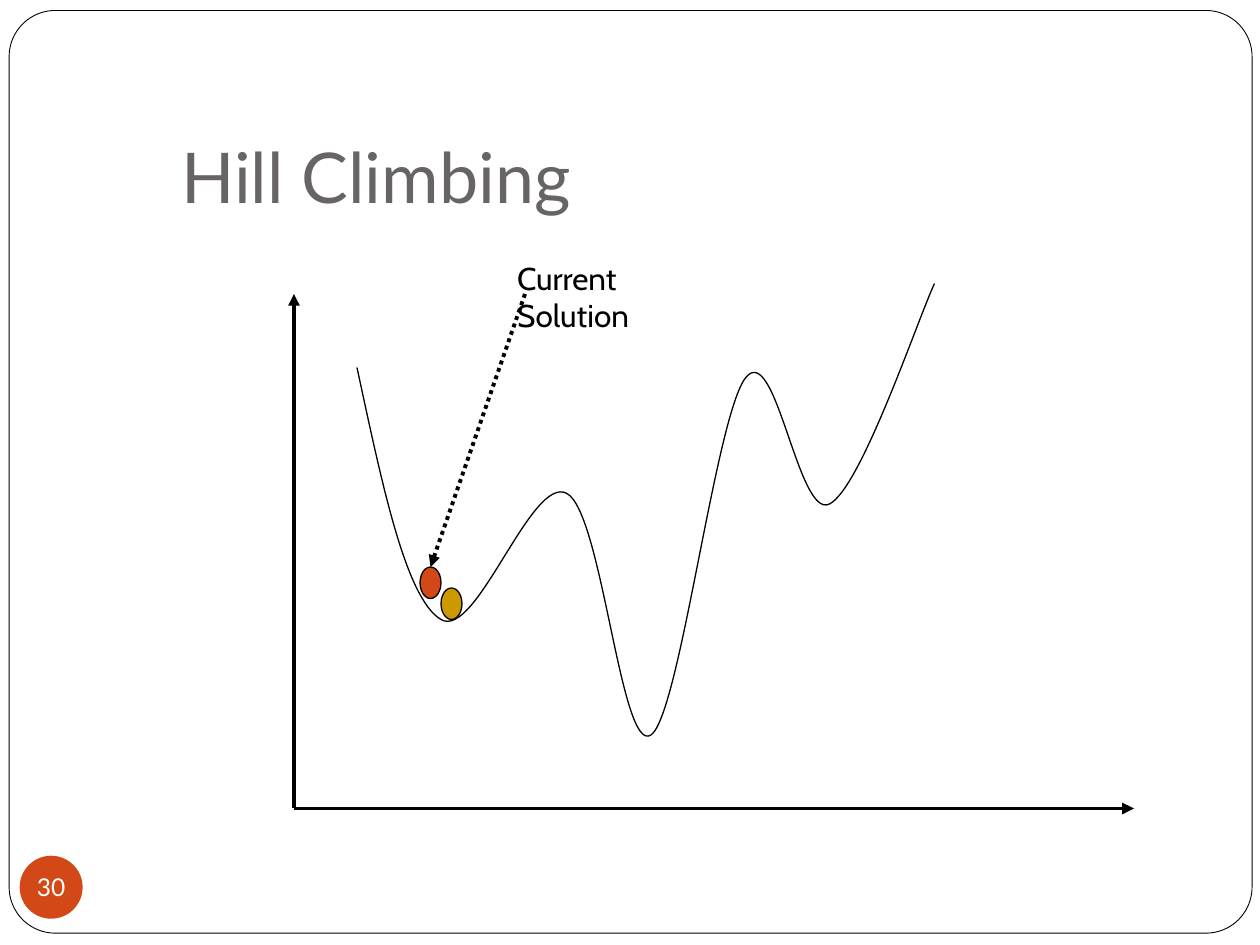
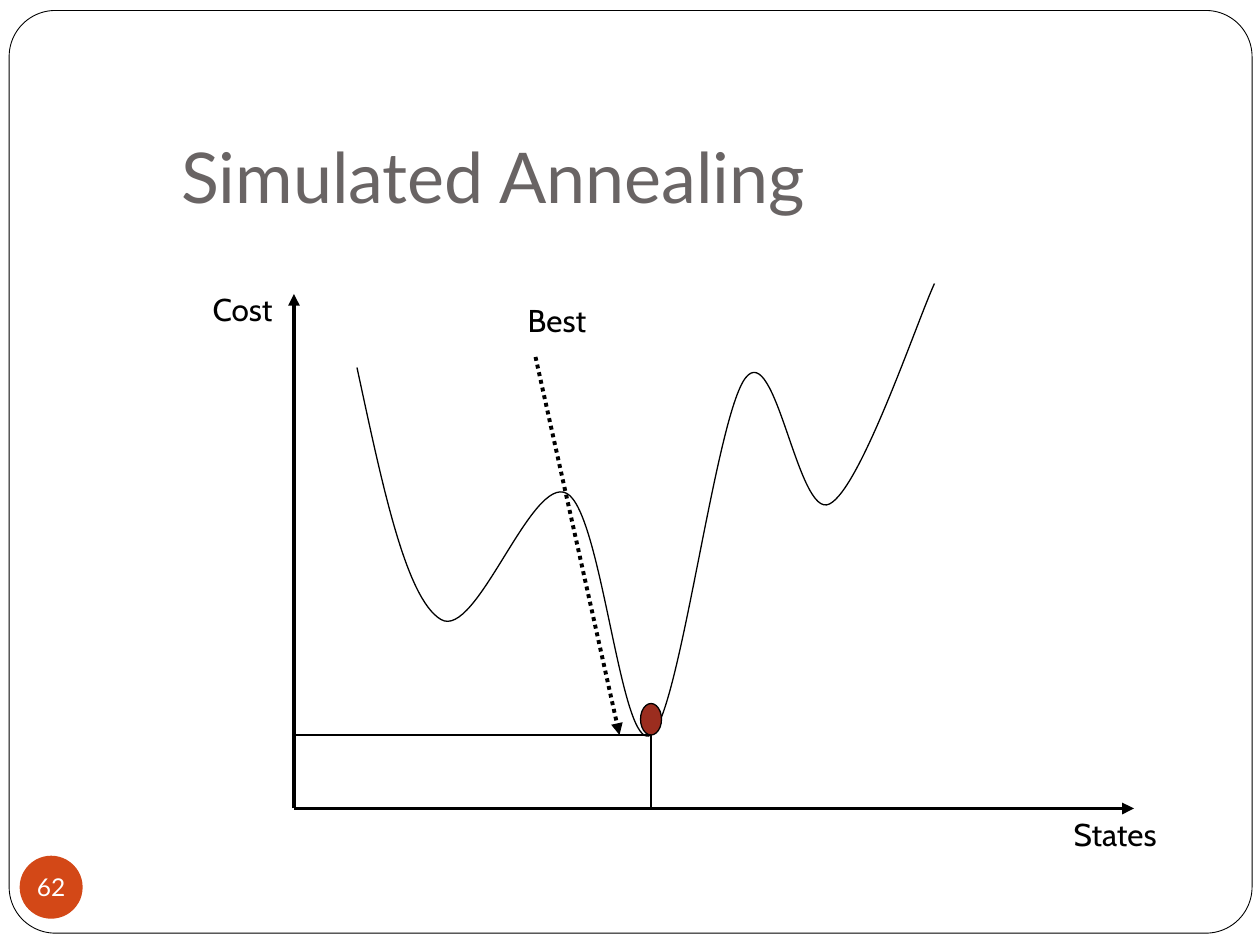
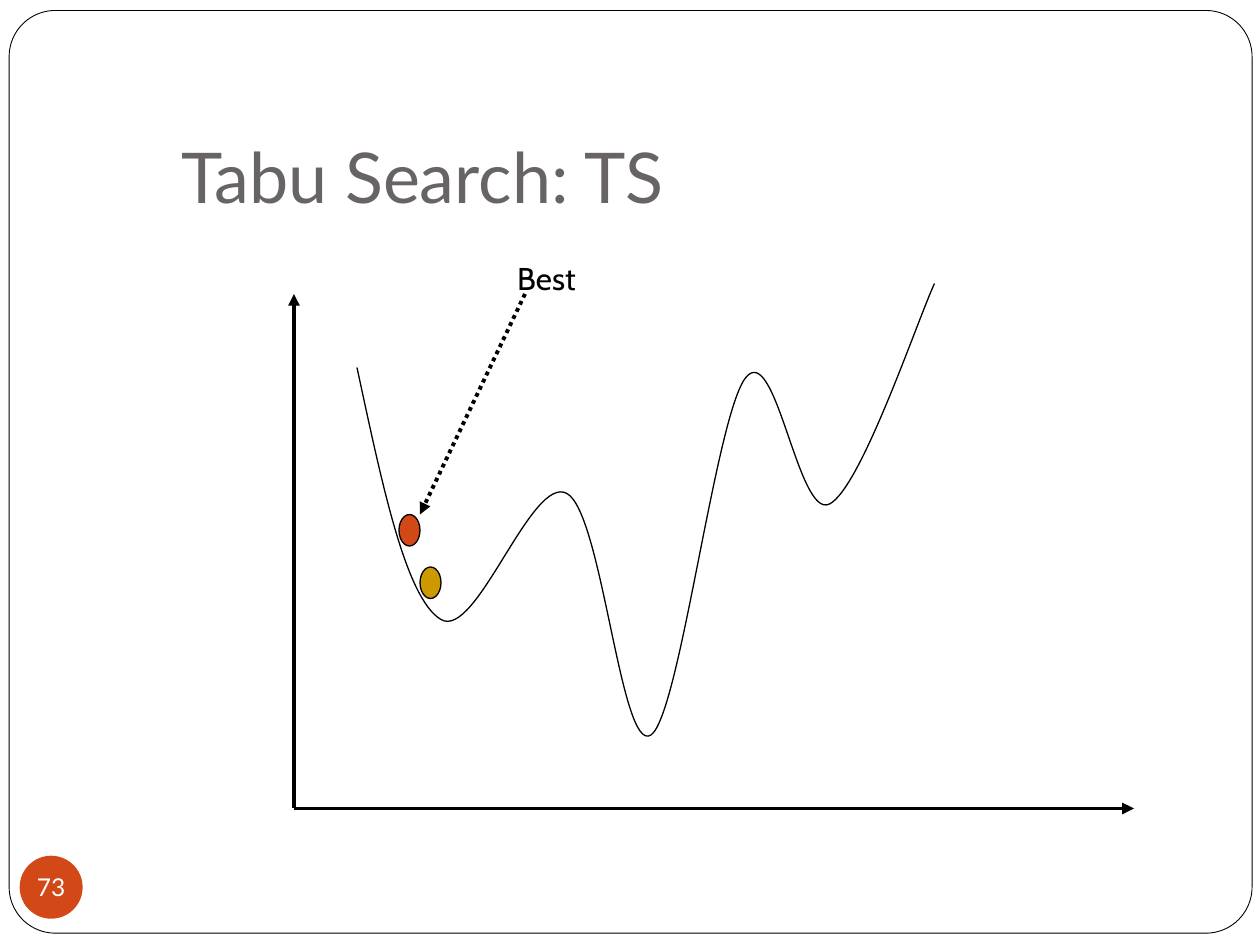
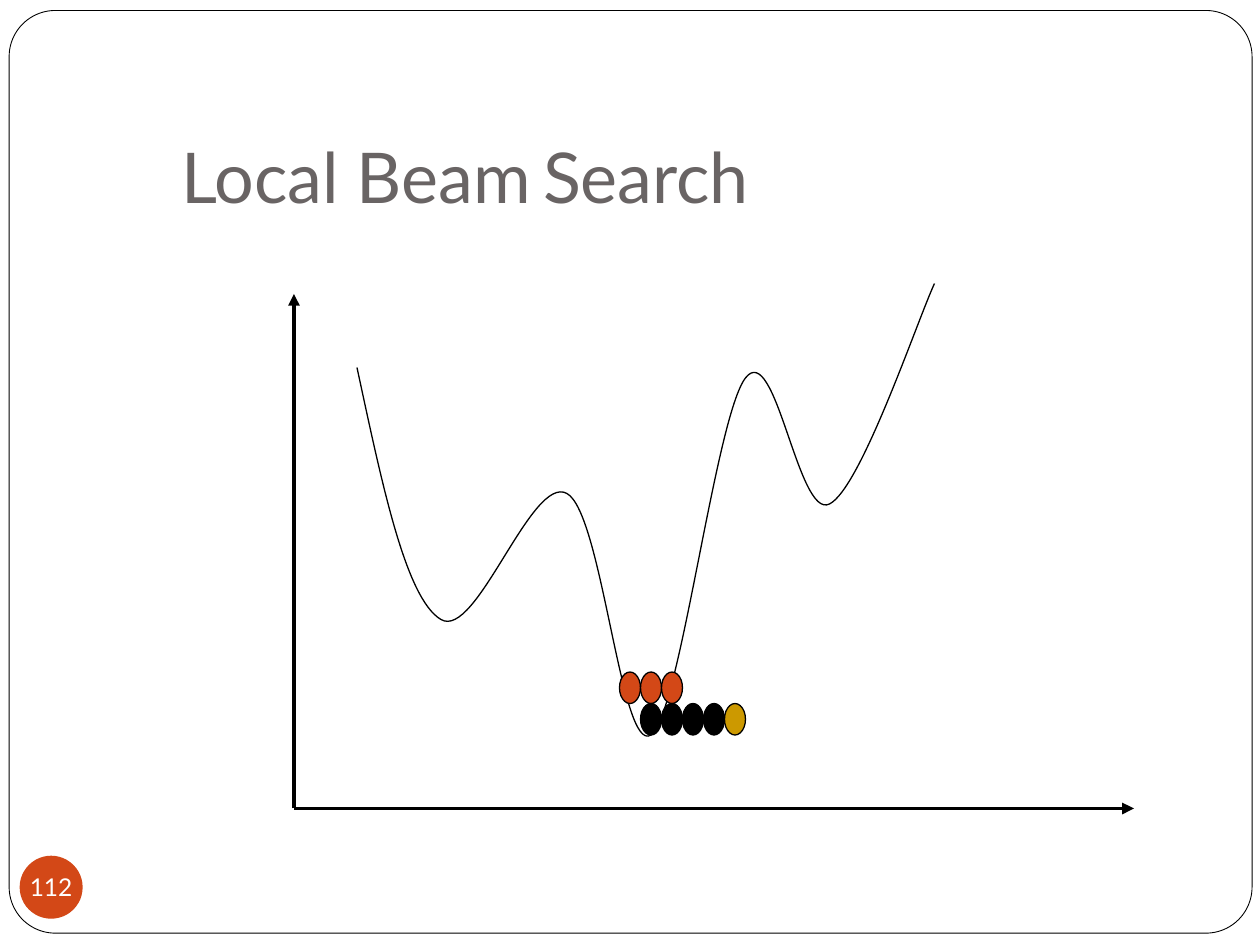
"""Build four slides that compare local search methods on one cost curve."""
from lxml.etree import SubElement
from pptx import Presentation
from pptx.dml.color import RGBColor
from pptx.enum.dml import MSO_LINE
from pptx.enum.shapes import MSO_CONNECTOR, MSO_SHAPE
from pptx.enum.text import MSO_ANCHOR, MSO_AUTO_SIZE, PP_ALIGN
from pptx.oxml.ns import qn
from pptx.util import Pt

PX = 9525
BLACK, WHITE, GREY = "000000", "FFFFFF", "696464"
RED, GOLD, DARK_RED = "D34817", "CC9900", "9B2D1F"
BALL_WIDTH, BALL_HEIGHT = 16, 24
ORIGIN, COST_END, STATES_END = (224, 616), (224, 224), (864, 616)
CURVE_START = (272, 280)
CURVE_CONTROLS = [
    (291, 368), (309, 456), (336, 472),
    (363, 488), (405, 361), (432, 376),
    (459, 391), (473, 575), (496, 560),
    (518, 545), (545, 318), (568, 288),
    (591, 258), (608, 396), (632, 384),
    (656, 372), (699, 244), (712, 216),
]


def rgb(color):
    """Turn a hex string into a colour."""
    return RGBColor.from_string(color)


def px(*lengths):
    """Turn pixel lengths into EMU."""
    return [length * PX for length in lengths]


class Deck:
    """Hold the shared style and the current slide."""

    def __init__(self):
        """Open an empty deck of 960 by 720 px."""
        self.deck = Presentation()
        self.deck.slide_width, self.deck.slide_height = px(960, 720)
        self.slide = None

    def start(self, number, *title_runs):
        """Add a slide with frame, title, page number, axes and curve."""
        self.slide = self.deck.slides.add_slide(self.deck.slide_layouts[5])
        self.frame()
        self.title(title_runs)
        self.page_number(number)
        self.line(ORIGIN, COST_END, 2.25, arrow=True)
        self.line(ORIGIN, STATES_END, 2.25, arrow=True)
        self.curve()

    def shape(self, preset, box, fill, line_width=None):
        """Add a filled preset shape, outlined in black if a width is given."""
        shape = self.slide.shapes.add_shape(preset, *px(*box))
        shape.shadow.inherit = False
        shape.fill.solid()
        shape.fill.fore_color.rgb = rgb(fill)
        if line_width:
            self.outline(shape.line, line_width)
        else:
            shape.line.fill.background()
        return shape

    def outline(self, line, width):
        """Make a line black and set its width."""
        line.color.rgb = rgb(BLACK)
        line.width = Pt(width)

    def add_text(self, paragraph, text, size, font, color):
        """Add one formatted run."""
        run = paragraph.add_run()
        run.text = text
        run.font.size = Pt(size)
        run.font.name = font
        run.font.color.rgb = rgb(color)

    def margins(self, text_frame, left, top, right, bottom):
        """Set the text insets."""
        (text_frame.margin_left, text_frame.margin_top,
         text_frame.margin_right, text_frame.margin_bottom) = px(left, top, right, bottom)

    def frame(self):
        """Add the rounded border behind everything else."""
        border = self.shape(MSO_SHAPE.ROUNDED_RECTANGLE, (7, 8, 947, 703), WHITE, 0.5)
        border.adjustments[0] = 0.05
        self.slide.shapes.element.insert(2, border.element)

    def title(self, runs):
        """Place the title and add its (text, size) runs."""
        title = self.slide.shapes.title
        title.left, title.top, title.width, title.height = px(128, 90, 818, 86)
        text_frame = title.text_frame
        text_frame.auto_size = MSO_AUTO_SIZE.NONE
        text_frame.vertical_anchor = MSO_ANCHOR.BOTTOM
        self.margins(text_frame, 10, 5, 10, 10)
        paragraph = text_frame.paragraphs[0]
        paragraph.alignment = PP_ALIGN.LEFT
        for text, size in runs:
            self.add_text(paragraph, text, size, "Lato", GREY)

    def page_number(self, number):
        """Add the page number in its disc."""
        disc = self.shape(MSO_SHAPE.OVAL, (15, 652, 48, 48), RED)
        text_frame = disc.text_frame
        text_frame.word_wrap = False
        text_frame.vertical_anchor = MSO_ANCHOR.MIDDLE
        self.margins(text_frame, 0, 0, 0, 0)
        paragraph = text_frame.paragraphs[0]
        paragraph.alignment = PP_ALIGN.CENTER
        self.add_text(paragraph, str(number), 14, "Lato", WHITE)

    def line(self, start, end, width, arrow=False, dotted=False):
        """Add a straight line, with an arrowhead at its end if wanted."""
        line = self.slide.shapes.add_connector(MSO_CONNECTOR.STRAIGHT, *px(*start, *end))
        self.outline(line.line, width)
        if dotted:
            line.line.dash_style = MSO_LINE.ROUND_DOT
        properties = line.element.spPr
        if arrow:
            SubElement(properties.find(qn("a:ln")), qn("a:tailEnd"), type="triangle")
        SubElement(properties, qn("a:effectLst"))
        return line

    def pointer(self, start, end):
        """Add a dotted arrow from a label to a state."""
        return self.line(start, end, 2.25, arrow=True, dotted=True)

    def curve(self):
        """Add the cost curve as a chain of cubic segments."""
        builder = self.slide.shapes.build_freeform(*CURVE_START, scale=PX)
        builder.add_line_segments(CURVE_CONTROLS, close=False)
        curve = builder.convert_to_shape()
        curve.shadow.inherit = False
        curve.fill.background()
        self.outline(curve.line, 0.75)
        contour = next(curve.element.iter(qn("a:path")))
        segments = contour.findall(qn("a:lnTo"))
        for first in range(0, len(segments), 3):
            cubic = SubElement(contour, qn("a:cubicBezTo"))
            for segment in segments[first:first + 3]:
                cubic.append(segment[0])
                contour.remove(segment)

    def ball(self, left, top, color):
        """Add a state on the curve."""
        return self.shape(MSO_SHAPE.OVAL, (left, top, BALL_WIDTH, BALL_HEIGHT), color, 0.75)

    def label(self, text, left, top, width, height=38):
        """Add a text label."""
        label = self.slide.shapes.add_textbox(*px(left, top, width, height))
        text_frame = label.text_frame
        text_frame.word_wrap = True
        text_frame.auto_size = MSO_AUTO_SIZE.SHAPE_TO_FIT_TEXT
        self.margins(text_frame, 10, 5, 10, 5)
        self.add_text(text_frame.paragraphs[0], text, 18, "Cabin", BLACK)


def hill_climbing(deck):
    """Show the current solution next to a local minimum."""
    deck.start(30, ("Hill Climbing", 40))
    deck.ball(336, 448, GOLD)
    current = deck.ball(320, 432, RED)
    deck.pointer((400, 224), (328, 432)).end_connect(current, 0)
    deck.label("Current Solution", 384, 192, 112, 67)


def simulated_annealing(deck):
    """Show the best state at the global minimum."""
    deck.start(62, ("Simulated Annealing", 40))
    minimum = (496, 560)
    deck.ball(488, 536, DARK_RED)
    deck.label("Cost", 152, 216, 104)
    deck.label("States", 808, 616, 112)
    deck.pointer((408, 272), (472, 560))
    deck.label("Best", 392, 224, 80)
    for axis_point in ((minimum[0], ORIGIN[1]), (ORIGIN[0], minimum[1])):
        deck.line(minimum, axis_point, 0.75)


def tabu_search(deck):
    """Show the best state and its next neighbour."""
    deck.start(73, ("Tabu Search: TS", 40))
    deck.ball(304, 392, RED)
    deck.label("Best", 384, 192, 112)
    deck.pointer((400, 224), (320, 392))
    deck.ball(320, 432, GOLD)


def local_beam_search(deck):
    """Show two rows of beam states."""
    deck.start(112, ("Local Beam", 40), (" ", 28), ("Search", 40))
    beam_rows = [(472, 512, [RED] * 3), (488, 536, [BLACK] * 4 + [GOLD])]
    for left, top, colors in beam_rows:
        for column, color in enumerate(colors):
            deck.ball(left + column * BALL_WIDTH, top, color)


def main():
    """Build and save all slides."""
    deck = Deck()
    for build in (hill_climbing, simulated_annealing, tabu_search, local_beam_search):
        build(deck)
    deck.deck.save("out.pptx")


if __name__ == "__main__":
    main()
